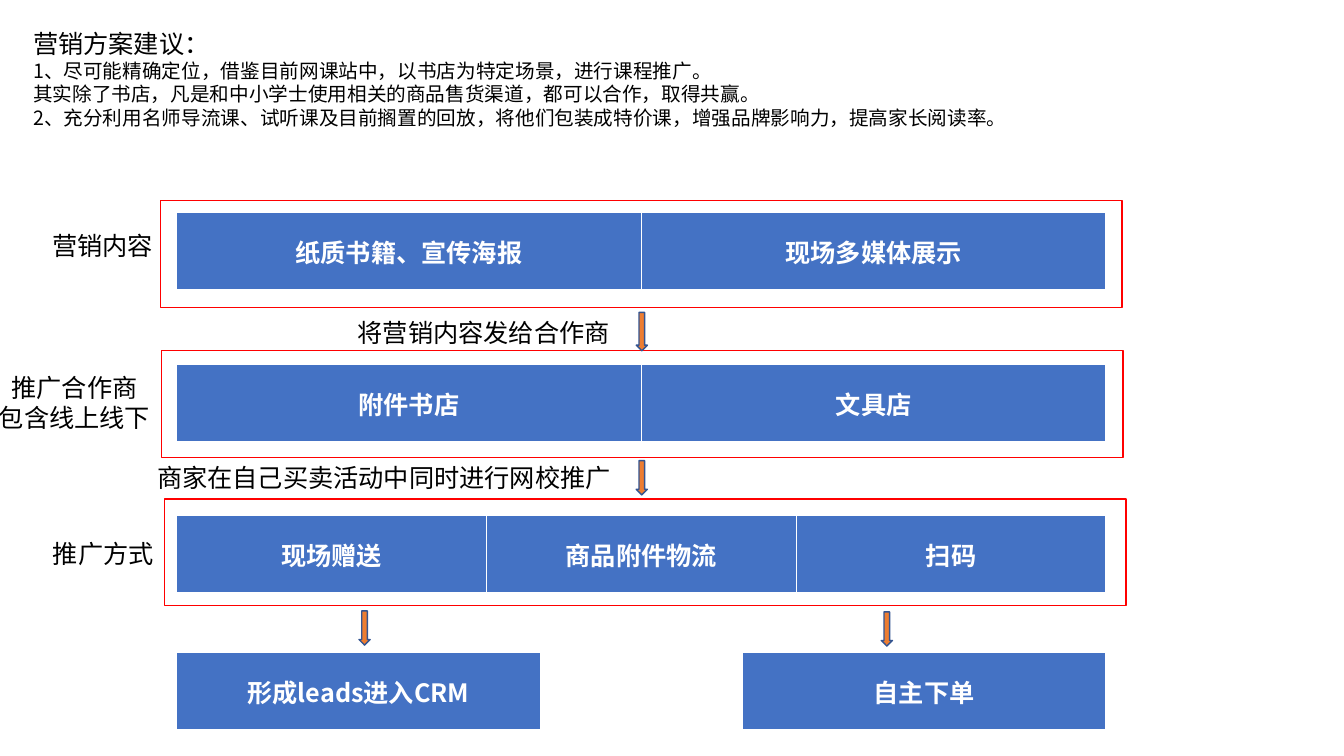
from lxml.etree import SubElement
from pptx import Presentation
from pptx.dml.color import RGBColor as Color
from pptx.enum.shapes import MSO_SHAPE as Preset
from pptx.enum.text import MSO_ANCHOR as Anchor, MSO_AUTO_SIZE as AutoSize, PP_ALIGN as Align
from pptx.oxml import parse_xml
from pptx.oxml.ns import nsdecls, qn
from pptx.util import Inches, Pt

COLORS = {"blue": "4472C4", "white": "FFFFFF", "black": "000000",
          "red": "FF0000", "orange": "ED7D31", "navy": "325491"}
FONT = "Noto Sans CJK SC"

presentation = Presentation()
presentation.slide_width = Inches(13.33)
presentation.slide_height = Inches(7.5)
slide = presentation.slides.add_slide(presentation.slide_layouts[6])
column = presentation.slide_width / 100
row = presentation.slide_height / 100


def place(left, top, width, height):
    return [round(left * column), round(top * row), round(width * column), round(height * row)]


def write(paragraph, text, size, color, bold, align):
    paragraph.text = text
    paragraph.alignment = align
    for run in paragraph.runs:
        for name, value in {"name": FONT, "size": Pt(size), "bold": bold}.items():
            setattr(run.font, name, value)
        run.font.color.rgb = Color.from_string(COLORS[color])
        SubElement(run.font._element, qn("a:ea")).set("typeface", FONT)


band_left, band_width, band_height = 13.13, 69.17, 10.4
band_top, band_pitch = 28.13, 20.03
half_width = 27.08
result_top = 86.27
bands = [
    (band_left, band_top, band_width, ["纸质书籍、宣传海报", "现场多媒体展示"]),
    (band_left, band_top + band_pitch, band_width, ["附件书店", "文具店"]),
    (band_left, band_top + 2 * band_pitch, band_width, ["现场赠送", "商品附件物流", "扫码"]),
    (band_left, result_top, half_width, ["形成leads进入CRM"]),
    (band_left + band_width - half_width, result_top, half_width, ["自主下单"]),
]
borders = {"L": 1, "R": 1, "T": 1, "B": 3}
for left, top, width, captions in bands:
    table = slide.shapes.add_table(1, len(captions), *place(left, top, width, band_height)).table
    for cell, caption in zip(table.iter_cells(), captions):
        cell.vertical_anchor = Anchor.MIDDLE
        write(cell.text_frame.paragraphs[0], caption, 18, "white", True, Align.CENTER)
        for side, points in borders.items():
            cell._tc.get_or_add_tcPr().append(parse_xml(
                f'<a:ln{side} {nsdecls("a")} w="{Pt(points)}"><a:solidFill>'
                f'<a:srgbClr val="{COLORS["white"]}"/></a:solidFill></a:ln{side}>'))
        cell.fill.solid()
        cell.fill.fore_color.rgb = Color.from_string(COLORS["blue"])

frames = [(Preset.RECTANGLE, left, top, 71.57, 14.13, None, "red")
          for left, top in [(12.23, 66), (12, 46.4), (11.93, 26.53)]]
arrows = [(Preset.DOWN_ARROW, left, top, 0.83, height, "orange", "navy")
          for left, top, height in [(47.34, 41.33, 5.07), (47.34, 60.93, 4.53),
                                    (26.71, 80.8, 4.53), (65.57, 80.93, 4.53)]]
for preset, left, top, width, height, fill, line in frames + arrows:
    shape = slide.shapes.add_shape(preset, *place(left, top, width, height))
    shape.shadow.inherit = False
    if fill:
        shape.fill.solid()
        shape.fill.fore_color.rgb = Color.from_string(COLORS[fill])
    else:
        shape.fill.background()
    shape.line.color.rgb = Color.from_string(COLORS[line])
    shape.line.width = Pt(1)

advice = [
    ("营销方案建议：", 18),
    ("1、尽可能精确定位，借鉴目前网课站中，以书店为特定场景，进行课程推广。", 14),
    ("其实除了书店，凡是和中小学士使用相关的商品售货渠道，都可以合作，取得共赢。", 14),
    ("2、充分利用名师导流课、试听课及目前搁置的回放，将他们包装成特价课，增强品牌影响力，提高家长阅读率。", 14),
]
texts = [
    (1.73, 3.07, 87.92, 14.8, True, Align.LEFT, advice),
    (3.15, 29.87, 9.08, 5.33, False, Align.LEFT, [("营销内容", 18)]),
    (-0.9, 48.53, 12.9, 9.47, False, Align.CENTER, [("推广合作商\n包含线上线下", 18)]),
    (3.15, 70.53, 9.08, 5.33, False, Align.CENTER, [("推广方式", 18)]),
    (25.88, 41.33, 20.48, 5.33, True, Align.LEFT, [("将营销内容发给合作商", 18)]),
    (10.95, 60.53, 35.41, 5.33, False, Align.LEFT, [("商家在自己买卖活动中同时进行网校推广", 18)]),
]
for left, top, width, height, wrap, align, lines in texts:
    frame = slide.shapes.add_textbox(*place(left, top, width, height)).text_frame
    for name, value in {"word_wrap": wrap, "auto_size": AutoSize.SHAPE_TO_FIT_TEXT}.items():
        setattr(frame, name, value)
    for index, (text, size) in enumerate(lines):
        paragraph = frame.add_paragraph() if index else frame.paragraphs[0]
        write(paragraph, text, size, "black", False, align)

presentation.save("out.pptx")
